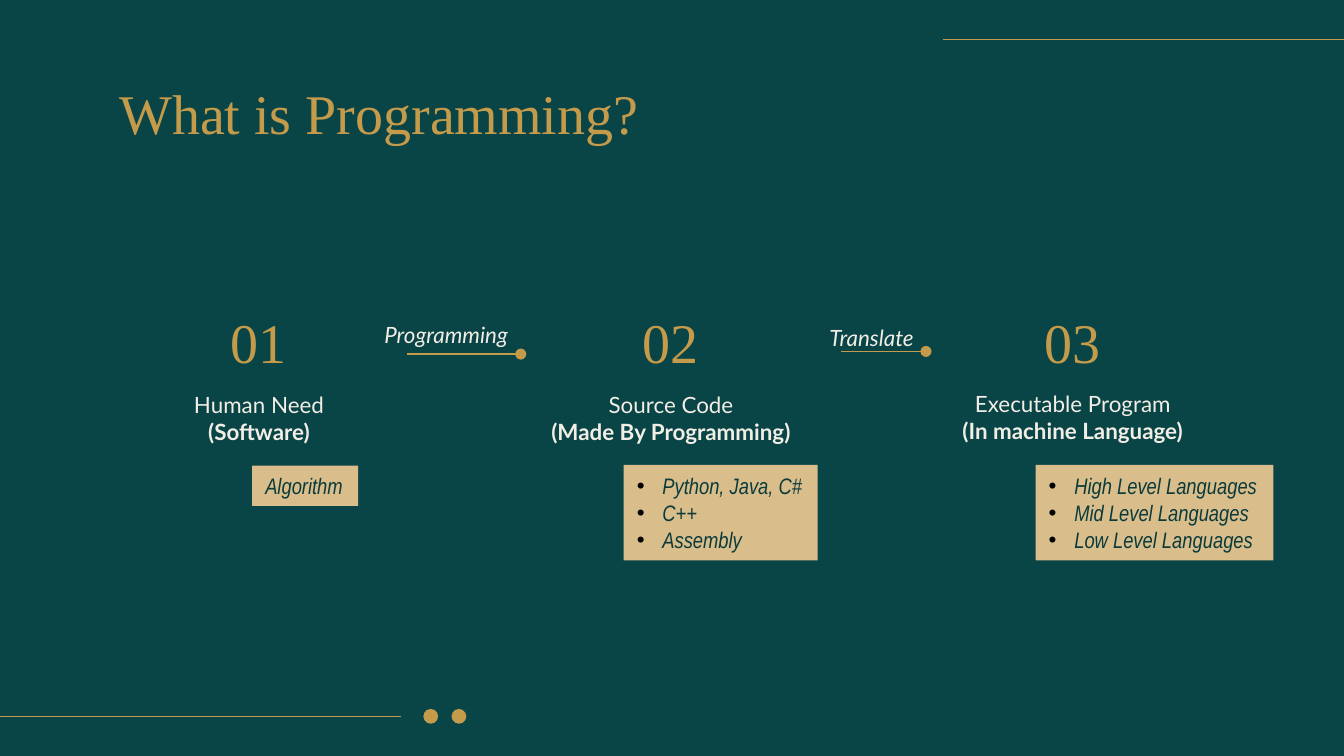
import pptx
import pptx.dml.color
import pptx.enum.shapes
import pptx.enum.text
import pptx.oxml.ns
import pptx.util
from dataclasses import dataclass
from lxml import etree

PX = 4572  # EMU per px, 200 px to the inch


@dataclass(frozen=True)
class Theme:
    background: str = "094446"
    gold: str = "C49B4B"
    cream: str = "F2EEE5"
    sand: str = "D9BE8C"
    ink: str = "0B3A3B"
    bullet: str = "000000"
    display_font: str = "Times New Roman"
    body_font: str = "Lato"
    note_font: str = "Arial Narrow"
    display_size: int = 30
    body_size: int = 12
    line_width: float = 0.75


def rgb(value):
    return pptx.dml.color.RGBColor.from_string(value)


def add_xml(parent, tag, **attributes):
    return etree.SubElement(parent, pptx.oxml.ns.qn(tag), attributes)


class Deck:
    def __init__(self, prs, theme):
        self.theme = theme
        self.s = prs.slides.add_slide(prs.slide_layouts[6])
        fill = self.s.background.fill
        fill.solid()
        fill.fore_color.rgb = rgb(theme.background)

    def style(self, p, font, size, color, bold=None, italic=None):
        p.font.name = font
        p.font.size = pptx.util.Pt(size)
        p.font.color.rgb = rgb(color)
        p.font.bold = bold
        p.font.italic = italic

    def text(self, x, y, w, h, lines, centered=True):
        """Add a text box; each line is (wording, font options)."""
        box = self.s.shapes.add_textbox(*(n * PX for n in (x, y, w, h)))
        tf = box.text_frame
        tf.word_wrap = True
        tf.margin_left = tf.margin_right = 20 * PX
        tf.margin_top = tf.margin_bottom = 20 * PX
        tf.text = "\n".join(wording for wording, _ in lines)
        for p, (_, options) in zip(tf.paragraphs, lines):
            if centered:
                p.alignment = pptx.enum.text.PP_ALIGN.CENTER
            self.style(p, **options)

    def display(self, x, y, w, h, wording, centered=True):
        t = self.theme
        options = dict(font=t.display_font, size=t.display_size, color=t.gold)
        self.text(x, y, w, h, [(wording, options)], centered)

    def body(self, x, y, w, h, *lines):
        t = self.theme
        base = dict(font=t.body_font, size=t.body_size, color=t.cream)
        self.text(x, y, w, h, [(wording, base | extra) for wording, extra in lines])

    def shape(self, kind, x, y, w, h, color):
        sp = self.s.shapes.add_shape(kind, *(n * PX for n in (x, y, w, h)))
        sp.shadow.inherit = False
        sp.fill.solid()
        sp.fill.fore_color.rgb = rgb(color)
        sp.line.fill.background()
        return sp

    def dot(self, x, y, size):
        self.shape(pptx.enum.shapes.MSO_SHAPE.OVAL, x, y, size, size, self.theme.gold)

    def note(self, x, y, w, h, lines):
        """Add a sand-coloured note, bulleted when it has several lines."""
        t = self.theme
        sp = self.shape(pptx.enum.shapes.MSO_SHAPE.RECTANGLE, x, y, w, h, t.sand)
        tf = sp.text_frame
        tf.word_wrap = False
        tf.auto_size = pptx.enum.text.MSO_AUTO_SIZE.SHAPE_TO_FIT_TEXT
        tf.text = "\n".join(lines)
        for p in tf.paragraphs:
            p.alignment = pptx.enum.text.PP_ALIGN.LEFT
            if len(lines) > 1:
                self.bullet(p, 38)
            self.style(p, t.note_font, t.body_size, t.ink, italic=True)

    def bullet(self, p, indent):
        pPr = p._p.get_or_add_pPr()
        pPr.set("marL", str(indent * PX))
        pPr.set("indent", str(-indent * PX))
        color = add_xml(pPr, "a:buClr")
        add_xml(color, "a:srgbClr", val=self.theme.bullet)
        add_xml(pPr, "a:buFont", typeface="Arial")
        add_xml(pPr, "a:buChar", char="•")

    def line(self, x1, x2, y, oval_end=False):
        c = self.s.shapes.add_connector(
            pptx.enum.shapes.MSO_CONNECTOR.STRAIGHT, x1 * PX, y * PX, x2 * PX, y * PX)
        c.line.color.rgb = rgb(self.theme.gold)
        c.line.width = pptx.util.Pt(self.theme.line_width)
        if oval_end:
            add_xml(c.line._ln, "a:tailEnd", type="oval")
        add_xml(c._element.spPr, "a:effectLst")


def main():
    prs = pptx.Presentation()
    prs.slide_width, prs.slide_height = 2000 * PX, 1125 * PX
    deck = Deck(prs, Theme())

    # Corner decoration
    deck.line(1403, 2000, 59)
    deck.line(0, 597, 1066)
    for x in (630, 672):
        deck.dot(x, 1055, 22)

    # Title
    deck.display(158, 97, 1686, 126, "What is Programming?", centered=False)

    # Stages: left, top, heading, detail, note box, note lines
    stages = [
        (132, 438, "Human Need", "(Software)", (375, 693, 158, 60), ["Algorithm"]),
        (745, 438, "Source Code", "(Made By Programming)", (928, 692, 289, 142),
         ["Python, Java, C#", "C++", "Assembly"]),
        (1343, 437, "Executable Program", "(In machine Language)", (1541, 692, 354, 142),
         ["High Level Languages", "Mid Level Languages", "Low Level Languages"]),
    ]
    for number, (x, y, heading, detail, note_box, notes) in enumerate(stages, 1):
        deck.display(x, y, 506, 126, f"{number:02}")
        deck.body(x, y + 124, 507, 160, (heading, {}), (detail, {"bold": True}))
        deck.note(*note_box, notes)

    # Steps between the stages
    deck.line(606, 775, 527, oval_end=True)
    deck.line(1252, 1378, 523, oval_end=True)
    deck.body(526, 458, 276, 68, ("Programming", {"italic": True}))
    deck.body(1198, 462, 198, 68, ("Translate", {"italic": True}))

    prs.save("out.pptx")


if __name__ == "__main__":
    main()
